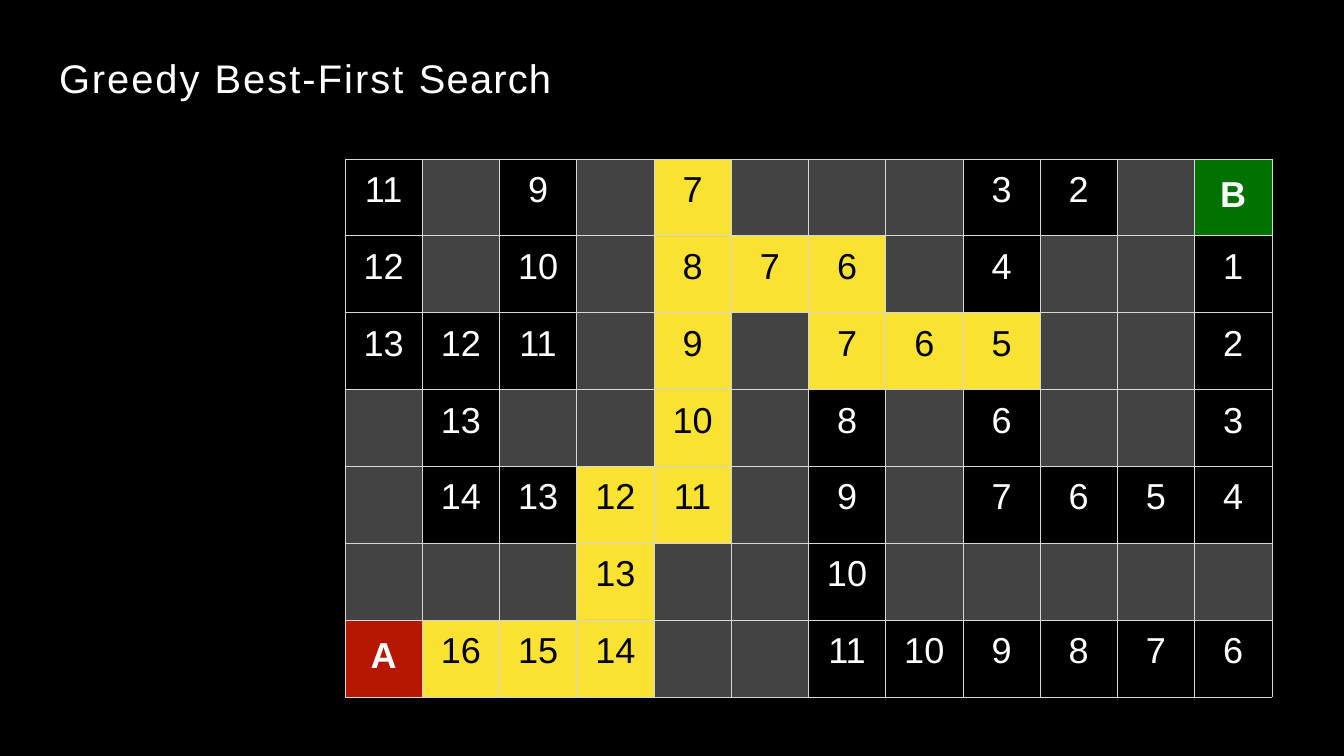
from lxml import etree
from pptx import Presentation
from pptx import util as u
from pptx.dml.color import RGBColor
from pptx.enum import text
from pptx.oxml import ns

BLACK = RGBColor(0x00, 0x00, 0x00)
WHITE = RGBColor(0xFF, 0xFF, 0xFF)
WALL = RGBColor(0x43, 0x43, 0x43)
VISITED = RGBColor(0xFA, 0xE2, 0x32)
START = RGBColor(0xB5, 0x17, 0x00)
GOAL = RGBColor(0x01, 0x71, 0x00)
BORDER = RGBColor(0xD6, 0xD7, 0xD6)

TITLE = [("Greedy ", 2.3), ("Best-First ", 2.4), ("Search", 1.4)]

# "#" is a wall, "*" follows the distance of a visited cell
MAZE = [
    "11 #  9  #   7*  #  #  #  3  2 # B",
    "12 #  10 #   8*  7* 6* #  4  # # 1",
    "13 12 11 #   9*  #  7* 6* 5* # # 2",
    "#  13 #  #   10* #  8  #  6  # # 3",
    "#  14 13 12* 11* #  9  #  7  6 5 4",
    "#  #  #  13* #   #  10 #  #  # # #",
    "A  16* 15* 14* # #  11 10 9  8 7 6",
]
ENDPOINTS = {"A": START, "B": GOAL}

SCALE = 14966
SLIDE_SIZE = (1344, 756)
TITLE_BOX = (59, 53, 493, 50)
MAZE_BOX = (345, 159, 927, 538)
NUMBER_TOP, LETTER_TOP = 11, 16


def px(length):
    return u.Emu(round(length * SCALE))


def write(paragraph, content, size=42.5, color=WHITE, bold=False,
          align=text.PP_ALIGN.CENTER, spacing=0):
    paragraph.alignment = align
    run = paragraph.add_run()
    run.text = content
    run.font.name = "Arial"
    run.font.size = u.Pt(size)
    run.font.bold = bold
    run.font.color.rgb = color
    if spacing:
        run._r.get_or_add_rPr().set("spc", str(round(spacing * 100)))


def draw_borders(cell):
    properties = cell._tc.get_or_add_tcPr()
    for side in ("a:lnL", "a:lnR", "a:lnT", "a:lnB"):
        line = etree.SubElement(properties, ns.qn(side), w=str(u.Pt(1)))
        fill = etree.SubElement(line, ns.qn("a:solidFill"))
        etree.SubElement(fill, ns.qn("a:srgbClr"), val=str(BORDER))


def fill_cell(cell, mark):
    label = mark.strip("#*")
    is_endpoint = label in ENDPOINTS
    is_visited = mark.endswith("*")
    background = WALL if mark == "#" else VISITED if is_visited else BLACK
    draw_borders(cell)
    cell.fill.solid()
    cell.fill.fore_color.rgb = ENDPOINTS.get(label, background)
    cell.margin_left = cell.margin_right = cell.margin_bottom = 0
    cell.margin_top = px(LETTER_TOP if is_endpoint else NUMBER_TOP)
    if label:
        write(cell.text_frame.paragraphs[0], label, bold=is_endpoint,
              color=BLACK if is_visited else WHITE)


def add_title(slide):
    frame = slide.shapes.add_textbox(*map(px, TITLE_BOX)).text_frame
    frame.margin_left = frame.margin_right = frame.margin_bottom = 0
    frame.margin_top = px(1)
    frame.word_wrap = False
    for words, spacing in TITLE:
        write(frame.paragraphs[0], words, size=47, spacing=spacing,
              align=text.PP_ALIGN.LEFT)


def add_maze(slide):
    rows = [line.split() for line in MAZE]
    shape = slide.shapes.add_table(len(rows), len(rows[0]), *map(px, MAZE_BOX))
    table = shape.table
    table.first_row = table.horz_banding = False
    for row, marks in enumerate(rows):
        for column, mark in enumerate(marks):
            fill_cell(table.cell(row, column), mark)


def main():
    presentation = Presentation()
    presentation.slide_width, presentation.slide_height = map(px, SLIDE_SIZE)
    slide = presentation.slides.add_slide(presentation.slide_layouts[6])
    slide.background.fill.solid()
    slide.background.fill.fore_color.rgb = BLACK
    add_maze(slide)
    add_title(slide)
    presentation.save("out.pptx")


if __name__ == "__main__":
    main()
